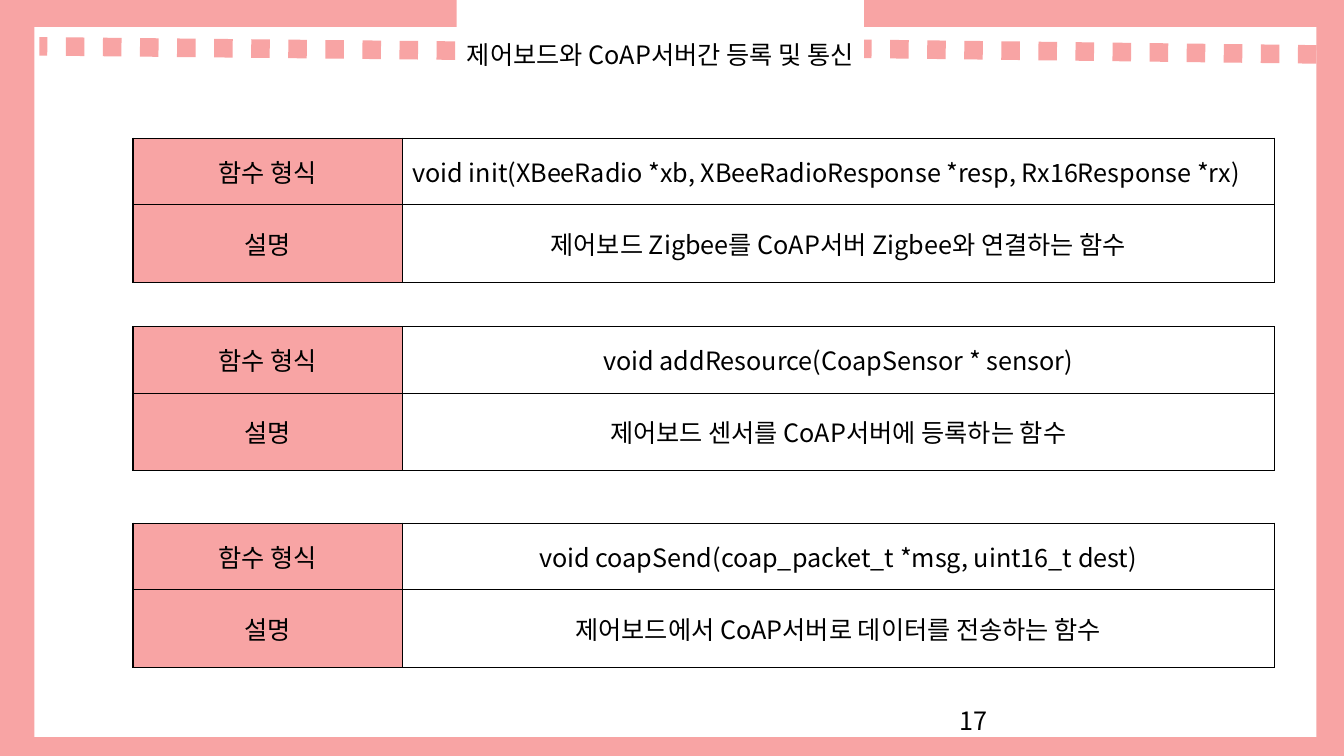
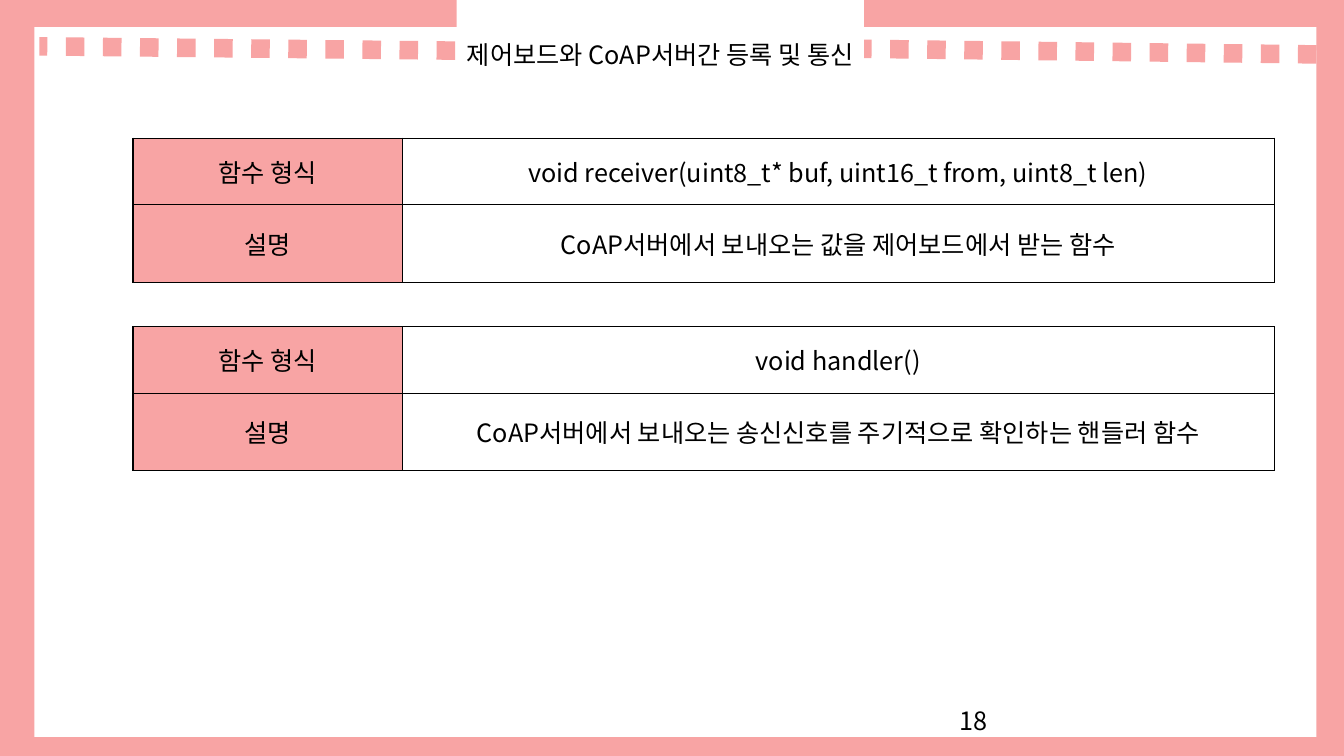
from lxml import etree
from pptx import Presentation
from pptx import util as u
from pptx.dml.color import RGBColor
from pptx.enum import dml, shapes, text
from pptx.oxml import ns

COLORS = {"pink": "F8A4A4", "white": "FFFFFF", "black": "000000"}
FONT = "Noto Sans CJK KR"
TEXT_SIZE = u.Pt(18)
TITLE = "제어보드와 CoAP서버간 등록 및 통신"
LABELS = ("함수 형식", "설명")
LABEL_SHARE = 23.59
FIRST_ROW_SHARE = 46.15
LEFT, CENTER = text.PP_ALIGN.LEFT, text.PP_ALIGN.CENTER

FULL_SLIDE = (0, 0, u.Inches(13.33), u.Inches(7.5))
PANEL = (2.55, 3.6, 95.4, 93.87)
TITLE_TAB = (33.98, 0, 30.3, 14.8)
PAGE_NUMBER = (70.67, 92.67, 22.5, 5.33)
DOTTED_LINES = ((39.38, 6.8, 2.93, 6.13), (97.95, 7.2, 61.5, 6.4))
TABLE_TOPS = (18.27, 43.2, 69.2)

PAGES = (
    (17, (
        ("void init(XBeeRadio *xb, XBeeRadioResponse *resp, Rx16Response *rx)",
         "제어보드 Zigbee를 CoAP서버 Zigbee와 연결하는 함수", LEFT),
        ("void addResource(CoapSensor * sensor)",
         "제어보드 센서를 CoAP서버에 등록하는 함수", CENTER),
        ("void coapSend(coap_packet_t *msg, uint16_t dest)",
         "제어보드에서 CoAP서버로 데이터를 전송하는 함수", CENTER),
    )),
    (18, (
        ("void receiver(uint8_t* buf, uint16_t from, uint8_t len)",
         "CoAP서버에서 보내오는 값을 제어보드에서 받는 함수", CENTER),
        ("void handler()",
         "CoAP서버에서 보내오는 송신신호를 주기적으로 확인하는 핸들러 함수", CENTER),
    )),
)


def color(name):
    return RGBColor.from_string(COLORS[name])


def percent(length, share):
    return round(length * share / 100)


def place(box, shares):
    left, top, width, height = box
    x, y, w, h = shares
    return (left + percent(width, x), top + percent(height, y),
            percent(width, w), percent(height, h))


def write(frame, words, align):
    frame.word_wrap = True
    para = frame.paragraphs[0]
    para.alignment = align
    span = para.add_run()
    span.text = words
    span.font.size = TEXT_SIZE
    span.font.bold = False
    span.font.name = FONT
    span.font.color.rgb = color("black")
    east_asian = etree.SubElement(span.font._element, ns.qn("a:ea"))
    east_asian.set("typeface", FONT)
    return para


def add_panel(page, box, fill):
    panel = page.shapes.add_shape(shapes.MSO_SHAPE.RECTANGLE, *box)
    panel.shadow.inherit = False
    panel.fill.solid()
    panel.fill.fore_color.rgb = color(fill)
    panel.line.fill.background()
    return panel


def add_dotted_line(page, box, shares):
    left, top, width, height = box
    x1, y1, x2, y2 = shares
    line = page.shapes.add_connector(
        shapes.MSO_CONNECTOR.STRAIGHT,
        left + percent(width, x1), top + percent(height, y1),
        left + percent(width, x2), top + percent(height, y2))
    line.line.color.rgb = color("pink")
    line.line.width = u.Pt(13.25)
    line.line.dash_style = dml.MSO_LINE.ROUND_DOT
    etree.SubElement(line._element.spPr, ns.qn("a:effectLst"))
    return line


def move_to_layout(parts, layout):
    tree = layout.shapes._spTree
    next_id = max(shape.shape_id for shape in layout.shapes) + 1
    for number, part in enumerate(parts, next_id):
        part._element.xpath(".//p:cNvPr")[0].set("id", str(number))
        tree.append(part._element)


def build_frame(page, layout, box):
    parts = [add_panel(page, box, "pink"),
             add_panel(page, place(box, PANEL), "white")]
    parts += [add_dotted_line(page, box, shares) for shares in DOTTED_LINES]
    move_to_layout(parts, layout)


def build_title(page, box):
    title = page.shapes.title
    title.left, title.top, title.width, title.height = box
    title.fill.solid()
    title.fill.fore_color.rgb = color("white")
    frame = title.text_frame
    frame.auto_size = text.MSO_AUTO_SIZE.NONE
    frame.vertical_anchor = text.MSO_ANCHOR.MIDDLE
    write(frame, TITLE, CENTER).line_spacing = 0.9


def build_page_number(page, box, number):
    write(page.shapes.add_textbox(*box).text_frame, str(number), LEFT)


def add_borders(cell):
    properties = cell._tc.get_or_add_tcPr()
    for side in ("lnL", "lnR", "lnT", "lnB"):
        border = etree.SubElement(properties, ns.qn(f"a:{side}"), w=str(u.Pt(1)))
        fill = etree.SubElement(border, ns.qn("a:solidFill"))
        etree.SubElement(fill, ns.qn("a:srgbClr"), val=COLORS["black"])


def fill_cell(cell, words, align, fill):
    add_borders(cell)
    cell.fill.solid()
    cell.fill.fore_color.rgb = color(fill)
    cell.vertical_anchor = text.MSO_ANCHOR.MIDDLE
    write(cell.text_frame, words, align)


def build_function_table(page, box, function):
    signature, description, signature_align = function
    width, height = box[2:]
    table = page.shapes.add_table(2, 2, *box).table
    table.first_row = table.horz_banding = False
    table.columns[0].width = percent(width, LABEL_SHARE)
    table.columns[1].width = width - table.columns[0].width
    table.rows[0].height = percent(height, FIRST_ROW_SHARE)
    table.rows[1].height = height - table.rows[0].height
    values = ((signature, signature_align), (description, CENTER))
    for row, (label, (words, align)) in enumerate(zip(LABELS, values)):
        fill_cell(table.cell(row, 0), label, CENTER, "pink")
        fill_cell(table.cell(row, 1), words, align, "white")


def build_page(page, box, number, functions):
    build_title(page, place(box, TITLE_TAB))
    for top, function in zip(TABLE_TOPS, functions):
        build_function_table(page, place(box, (9.9, top, 84.9, 19.07)), function)
    build_page_number(page, place(box, PAGE_NUMBER), number)


def main():
    deck = Presentation()
    deck.slide_width, deck.slide_height = FULL_SLIDE[2:]
    layout = deck.slide_layouts.get_by_name("Title Only")
    pages = [deck.slides.add_slide(layout) for _ in PAGES]
    build_frame(pages[0], layout, FULL_SLIDE)
    for page, (number, functions) in zip(pages, PAGES):
        build_page(page, FULL_SLIDE, number, functions)
    deck.save("out.pptx")


if __name__ == "__main__":
    main()
